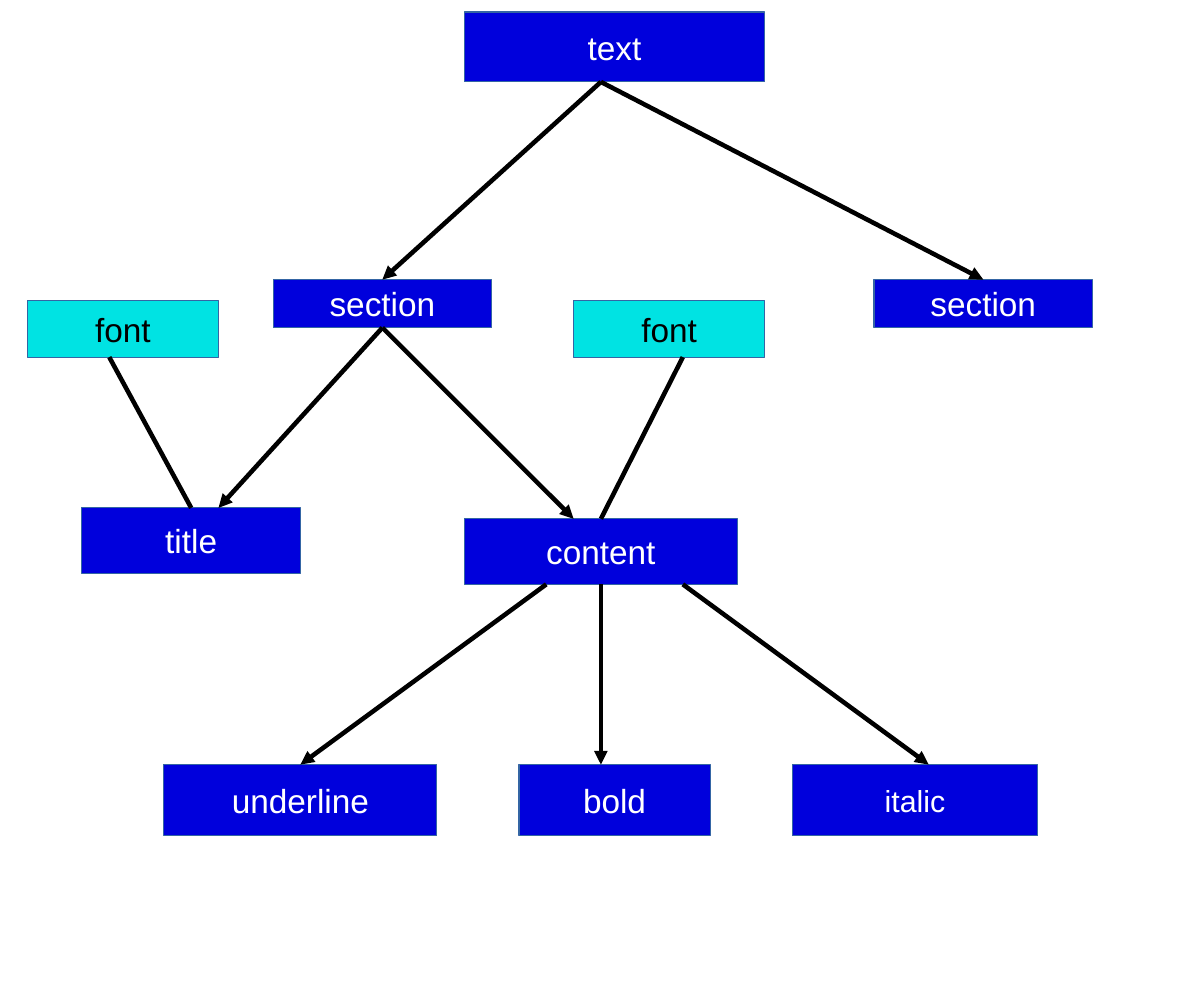
import pptx
import pptx.util
import pptx.dml.color
import pptx.enum.shapes
import pptx.enum.text
import pptx.oxml.ns
from lxml import etree
from pptx.util import Inches

BLUE, CYAN, WHITE, BLACK, OUTLINE = "0000DC", "00E3E3", "FFFFFF", "000000", "3465A4"

# Nodes: key -> (label, left, top, width, height, fill, font colour, font size)
NODES = {
    "text": ("text", 4.25, 0.11, 2.75, 0.64, BLUE, WHITE, 22),
    "section 1": ("section", 2.5, 2.56, 2, 0.44, BLUE, WHITE, 22),
    "title": ("title", 0.75, 4.65, 2, 0.6, BLUE, WHITE, 22),
    "content": ("content", 4.25, 4.75, 2.5, 0.6, BLUE, WHITE, 22),
    "underline": ("underline", 1.5, 7, 2.5, 0.65, BLUE, WHITE, 22),
    "bold": ("bold", 4.75, 7, 1.75, 0.65, BLUE, WHITE, 22),
    "section 2": ("section", 8, 2.56, 2, 0.44, BLUE, WHITE, 22),
    "italic": ("italic", 7.25, 7, 2.25, 0.65, BLUE, WHITE, 20),
    "title font": ("font", 0.25, 2.75, 1.75, 0.52, CYAN, BLACK, 22),
    "content font": ("font", 5.25, 2.75, 1.75, 0.52, CYAN, BLACK, 22),
}

# Edges: (upper node, x at its bottom, lower node, x at its top, arrowhead)
EDGES = [
    ("text", 5.5, "section 1", 3.5, True),
    ("text", 5.5, "section 2", 9, True),
    ("section 1", 3.5, "title", 2, True),
    ("section 1", 3.5, "content", 5.25, True),
    ("content", 5, "underline", 2.75, True),
    ("content", 6.25, "italic", 8.5, True),
    ("content", 5.5, "bold", 5.5, True),
    ("title font", 1, "title", 1.75, False),
    ("content font", 6.25, "content", 5.5, False),
]


def rgb(value):
    return pptx.dml.color.RGBColor.from_string(value)


def add_node(s, label, left, top, width, height, fill, colour, size):
    sp = s.shapes.add_shape(pptx.enum.shapes.MSO_SHAPE.RECTANGLE, Inches(left),
                            Inches(top), Inches(width), Inches(height))
    sp.shadow.inherit = False
    sp.fill.solid()
    sp.fill.fore_color.rgb = rgb(fill)
    sp.line.color.rgb = rgb(OUTLINE)
    sp.line.width = pptx.util.Pt(0)
    tf = sp.text_frame
    tf.text = label
    tf.vertical_anchor = pptx.enum.text.MSO_ANCHOR.MIDDLE
    p = tf.paragraphs[0]
    p.alignment = pptx.enum.text.PP_ALIGN.CENTER
    font = p.runs[0].font
    font.name, font.size = "Arial", pptx.util.Pt(size)
    font.color.rgb = rgb(colour)
    return sp


def add_edge(s, shapes, upper, x1, lower, x2, arrow):
    start, end = shapes[upper], shapes[lower]
    x1, x2 = Inches(x1), Inches(x2)
    c = s.shapes.add_connector(pptx.enum.shapes.MSO_CONNECTOR.STRAIGHT,
                               x1, start.top + start.height, x2, end.top)
    # Join the ends that meet the middle of a side
    if x1 == start.left + start.width // 2:
        c.begin_connect(start, 2)
    if x2 == end.left + end.width // 2:
        c.end_connect(end, 0)
    c.line.color.rgb = rgb(BLACK)
    c.line.width = pptx.util.Pt(3)
    if arrow:
        etree.SubElement(c.line._get_or_add_ln(), pptx.oxml.ns.qn("a:tailEnd"),
                         type="triangle")
    etree.SubElement(c._element.spPr, pptx.oxml.ns.qn("a:effectLst"))


def main():
    prs = pptx.Presentation()
    prs.slide_width, prs.slide_height = Inches(11.02), Inches(9)
    s = prs.slides.add_slide(prs.slide_layouts[6])
    # Boxes first, then the lines between them
    shapes = {key: add_node(s, *node) for key, node in NODES.items()}
    for edge in EDGES:
        add_edge(s, shapes, *edge)
    prs.save("out.pptx")


if __name__ == "__main__":
    main()
